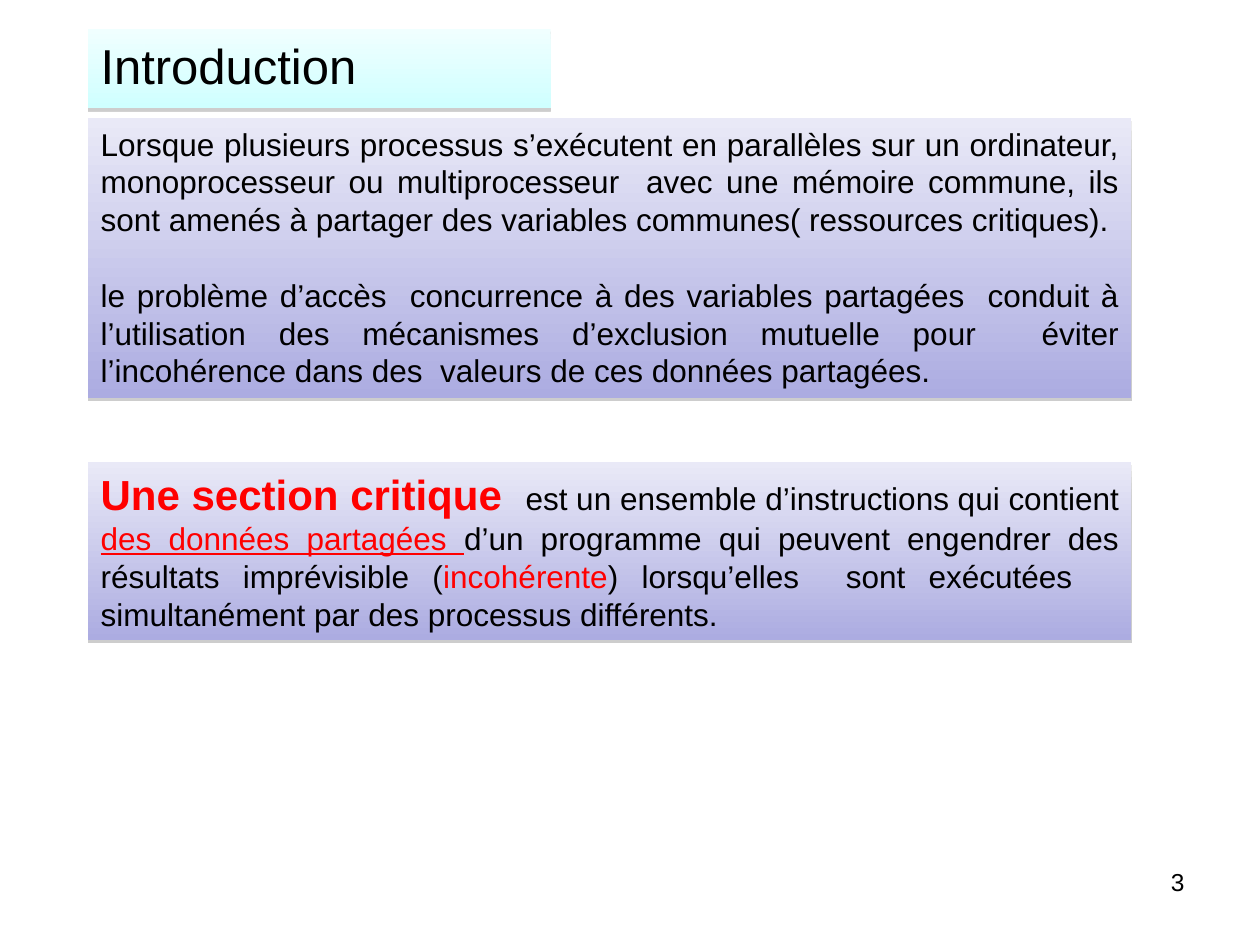
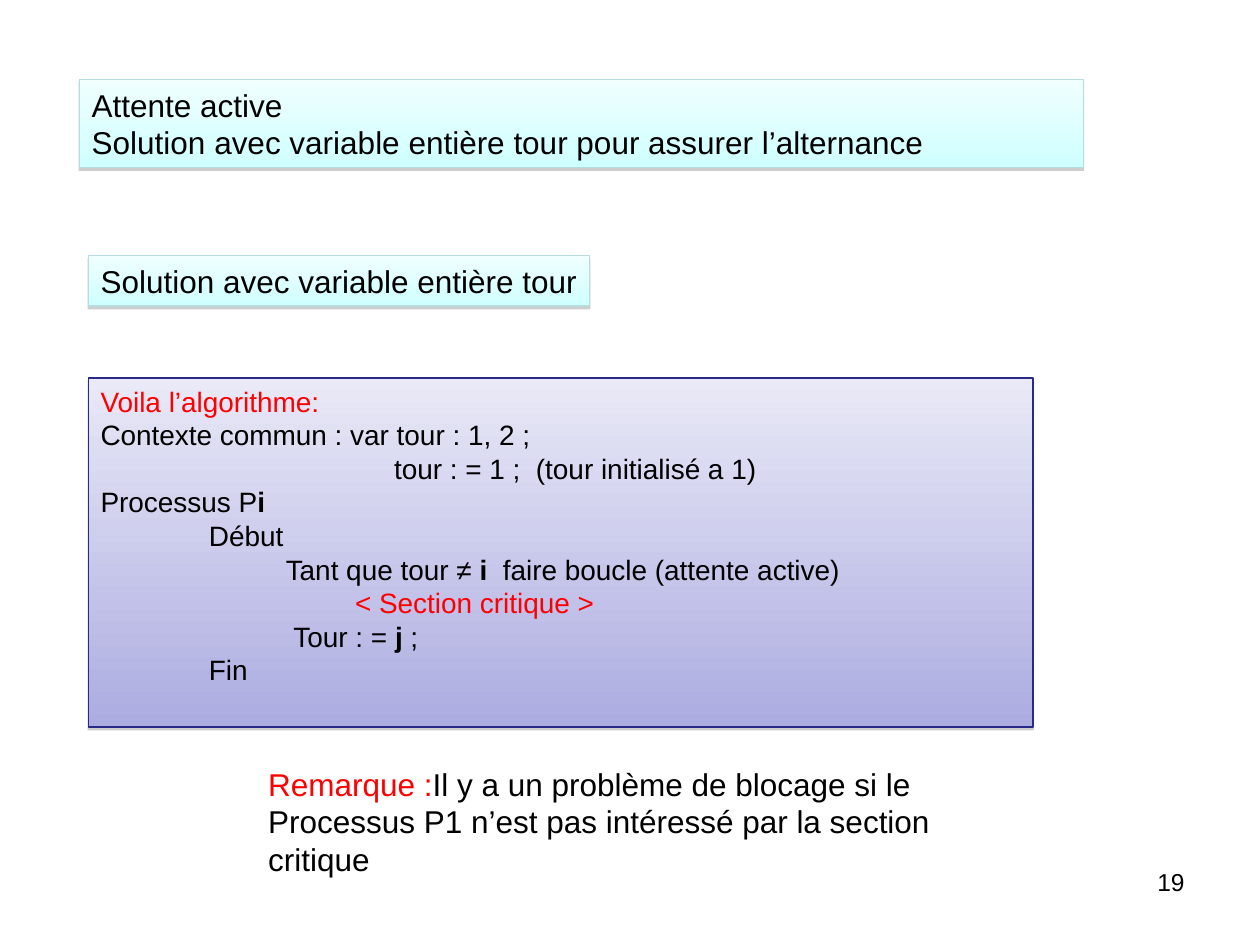
from lxml.etree import SubElement
from pptx import Presentation
from pptx.dml.color import RGBColor
from pptx.enum.shapes import MSO_SHAPE
from pptx.enum.text import MSO_ANCHOR, PP_ALIGN
from pptx.oxml.ns import qn
from pptx.util import Inches, Pt

BLACK, RED, SHADE = "000000", "FF0000", "808080"
LILAC = ("E9E9F7", "ACACE1")
AQUA = ("F0FFFF", "CFFFFF")
NAVY, TEAL = "292989", "B6DCDF"
LEFT = 0.7


def color(hex_code):
    return RGBColor.from_string(hex_code)


def write(holder, paragraphs, size=18, align=PP_ALIGN.LEFT, wrap=True, gap=0, indents=None):
    frame = holder.text_frame
    frame.word_wrap = wrap
    frame.vertical_anchor = MSO_ANCHOR.TOP
    for index, runs in enumerate(paragraphs):
        paragraph = frame.paragraphs[0] if index == 0 else frame.add_paragraph()
        paragraph.alignment = align
        if index and gap:
            paragraph.space_before = Pt(gap)
        if indents and indents[index]:
            paragraph._p.get_or_add_pPr().set("marL", str(Inches(indents[index])))
        for words, style in [(runs, {})] if isinstance(runs, str) else runs:
            run = paragraph.add_run()
            run.text = words
            font = run.font
            font.name = "Arial"
            font.size = Pt(style.get("size", size))
            font.bold = style.get("bold", False)
            font.underline = style.get("underline", False)
            font.color.rgb = color(style.get("ink", BLACK))


def drop_shadow(panel):
    effects = SubElement(panel._element.spPr, qn("a:effectLst"))
    shadow = SubElement(effects, qn("a:outerShdw"), dist=str(Pt(1.6)), dir="5400000", rotWithShape="0")
    tint = SubElement(shadow, qn("a:srgbClr"), val=SHADE)
    SubElement(tint, qn("a:alpha"), val="38000")


def add_panel(slide, box, shades, paragraphs, border=None, **style):
    panel = slide.shapes.add_shape(MSO_SHAPE.RECTANGLE, *map(Inches, box))
    panel.fill.gradient()
    panel.fill.gradient_angle = 270
    for stop, shade in zip(panel.fill.gradient_stops, shades):
        stop.color.rgb = color(shade)
    if border:
        panel.line.color.rgb = color(border)
        panel.line.width = Pt(0.75)
    else:
        panel.line.fill.background()
    drop_shadow(panel)
    write(panel, paragraphs, **style)


def add_text(slide, box, paragraphs, **style):
    write(slide.shapes.add_textbox(*map(Inches, box)), paragraphs, **style)


def new_slide(deck, number):
    slide = deck.slides.add_slide(deck.slide_layouts[6])
    add_text(slide, (7.17, 6.83, 2.33, 0.52), [number], size=14, align=PP_ALIGN.RIGHT)
    return slide


def introduction(deck):
    slide = new_slide(deck, "3")
    context = [
        "Lorsque plusieurs processus s’exécutent en parallèles sur un ordinateur, monoprocesseur ou "
        "multiprocesseur  avec une mémoire commune, ils sont amenés à partager des variables "
        "communes( ressources critiques).",
        "le problème d’accès  concurrence à des variables partagées  conduit à l’utilisation des "
        "mécanismes d’exclusion mutuelle pour  éviter l’incohérence dans des  valeurs de ces "
        "données partagées.",
    ]
    definition = [[
        ("Une section critique  ", {"size": 24, "bold": True, "ink": RED}),
        ("est un ensemble d’instructions qui contient ", {}),
        ("des données partagées ", {"ink": RED, "underline": True}),
        ("d’un programme qui peuvent engendrer des résultats imprévisible (", {}),
        ("incohérente", {"ink": RED}),
        (") lorsqu’elles  sont exécutées   simultanément par des processus différents.", {}),
    ]]
    add_panel(slide, (LEFT, 0.94, 8.28, 2.22), LILAC, context, align=PP_ALIGN.JUSTIFY, gap=21.6)
    add_panel(slide, (LEFT, 0.23, 3.67, 0.63), AQUA, ["Introduction"], size=28)
    add_panel(slide, (LEFT, 3.67, 8.28, 1.41), LILAC, definition, align=PP_ALIGN.JUSTIFY)


def busy_waiting(deck):
    slide = new_slide(deck, "19")
    strong, red = {"bold": True}, {"ink": RED}
    algorithm = [
        (0, [("Voila l’algorithme:", red)]),
        (0, "Contexte commun : var tour : 1, 2 ;"),
        (2.33, "tour : = 1 ;  (tour initialisé a 1)"),
        (0, [("Processus P", {}), ("i", strong)]),
        (0.86, "Début"),
        (1.47, [("Tant que tour ≠ ", {}), ("i", strong), ("  faire boucle (attente active)", {})]),
        (2.02, [("< Section critique >", red)]),
        (1.53, [("Tour : = ", {}), ("j", strong), (" ;", {})]),
        (0.86, "Fin"),
    ]
    indents, lines = zip(*algorithm)
    heading = ["Attente active", "Solution avec variable entière tour pour assurer l’alternance"]
    remark = [[
        ("Remarque :", red),
        ("Il y a un problème de blocage si le Processus P1 n’est pas intéressé par la section critique", {}),
    ]]
    add_panel(slide, (LEFT, 3, 7.5, 2.77), LILAC, lines, border=NAVY, size=16, indents=indents)
    add_panel(slide, (LEFT, 2.03, 3.98, 0.4), AQUA, ["Solution avec variable entière tour"],
              border=TEAL, wrap=False)
    add_panel(slide, (0.63, 0.63, 7.97, 0.7), AQUA, heading, border=TEAL)
    add_text(slide, (2.03, 6.02, 6.17, 1), remark)


def main():
    deck = Presentation()
    deck.slide_width, deck.slide_height = Inches(10), Inches(7.5)
    introduction(deck)
    busy_waiting(deck)
    deck.save("out.pptx")


if __name__ == "__main__":
    main()
